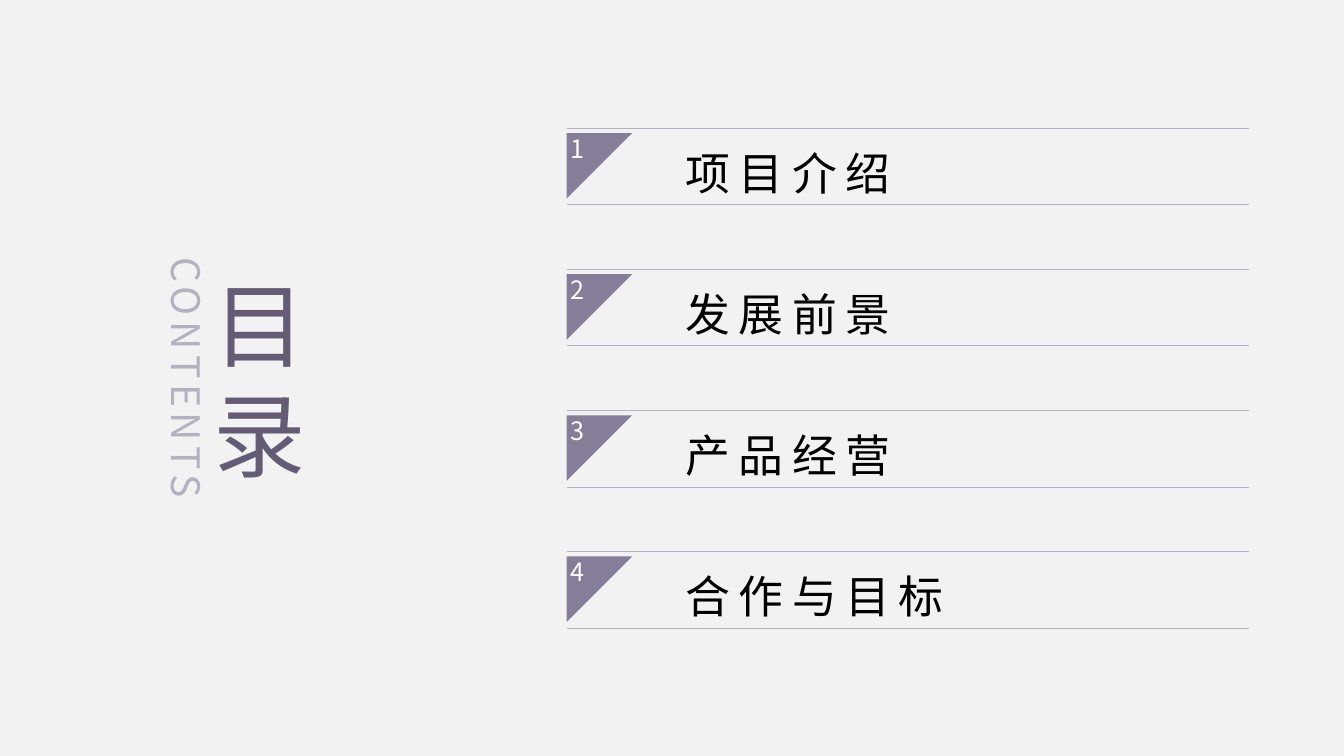
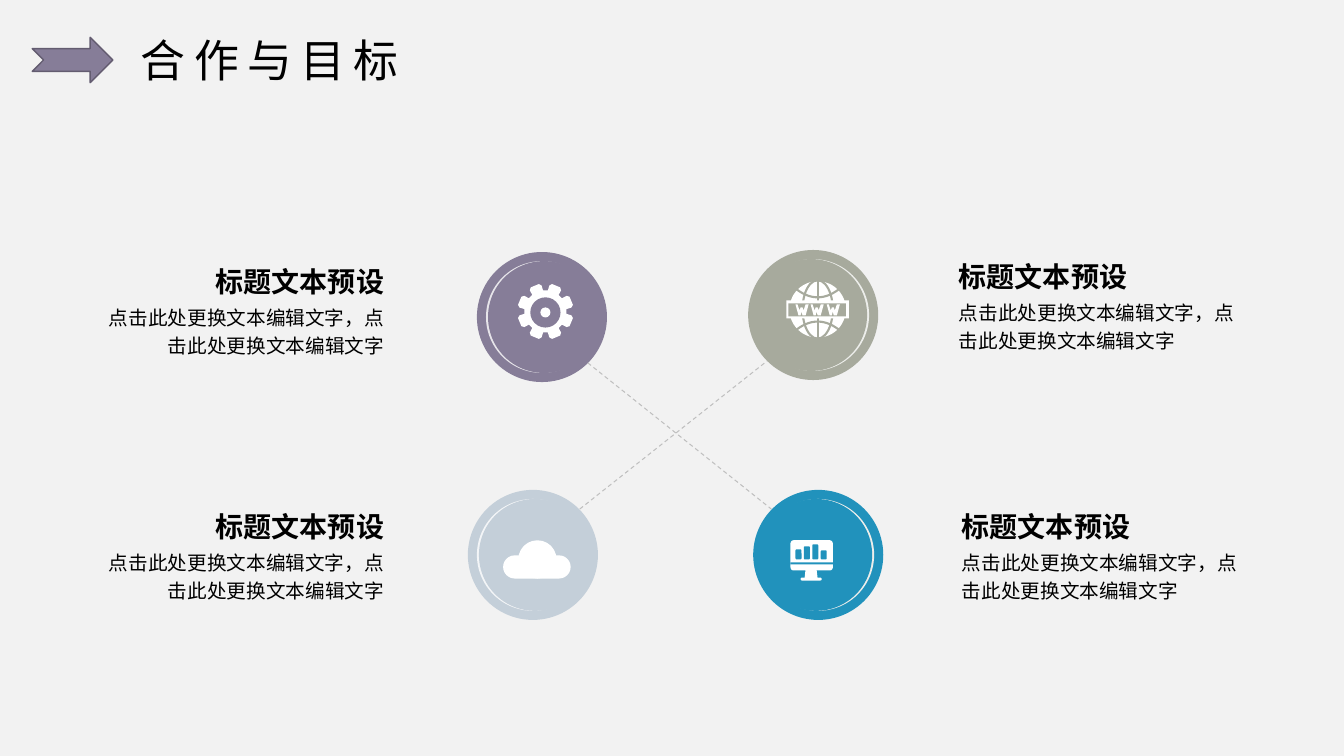
from dataclasses import dataclass
from math import cos, radians, sin

from pptx import Presentation
from pptx.dml.color import RGBColor
from pptx.enum.dml import MSO_LINE
from pptx.enum.shapes import MSO_CONNECTOR, MSO_SHAPE
from pptx.enum.text import MSO_ANCHOR, PP_ALIGN
from pptx.oxml.ns import qn
from pptx.util import Inches, Pt
from lxml.etree import SubElement


@dataclass(frozen=True)
class Theme:
    font: str = "Noto Sans CJK SC"
    background: str = "F2F2F2"
    ink: str = "000000"
    white: str = "FFFFFF"
    purple: str = "867D98"
    purple_dark: str = "645C74"
    arrow_edge: str = "635C70"
    lilac: str = "B6B1C1"
    olive: str = "A7AA9D"
    blue: str = "2192BC"
    mist: str = "C4CFD9"
    purple_ring: str = "E7E5EA"
    olive_ring: str = "EDEEEB"
    mist_ring: str = "F3F5F7"
    dash: str = "BFBFBF"
    display: int = 66
    heading: int = 32
    vertical: int = 28
    subheading: int = 20
    number: int = 18
    body: int = 14


THEME = Theme()
SECTIONS = ["项目介绍", "发展前景", "产品经营", "合作与目标"]
CAPTION_TITLE = "标题文本预设"
CAPTION_BODY = "点击此处更换文本编辑文字，点击此处更换文本编辑文字"


# Basic elements
def write(shape, text, size, color=THEME.ink, bold=False, align=PP_ALIGN.LEFT,
          spacing=0, line_spacing=None, anchor=MSO_ANCHOR.TOP,
          insets=(0.1, 0.05, 0.1, 0.05)):
    """Fill a shape with text, one paragraph for each line."""
    frame = shape.text_frame
    frame.word_wrap = True
    frame.vertical_anchor = anchor
    (frame.margin_left, frame.margin_top,
     frame.margin_right, frame.margin_bottom) = map(Inches, insets)
    for index, line in enumerate(text.split("\n")):
        paragraph = frame.paragraphs[0] if index == 0 else frame.add_paragraph()
        paragraph.alignment = align
        if line_spacing:
            paragraph.line_spacing = line_spacing
        run = paragraph.add_run()
        run.text = line
        run.font.size = Pt(size)
        run.font.bold = bold
        run.font.color.rgb = RGBColor.from_string(color)
        run.font.name = THEME.font
        properties = run.font._element
        SubElement(properties, qn("a:ea")).set("typeface", THEME.font)
        if spacing:
            properties.set("spc", str(spacing * 100))


def add_text(slide, box, text, size, **style):
    label = slide.shapes.add_textbox(*map(Inches, box))
    write(label, text, size, **style)
    return label


def paint(shape, fill=None, line=None, width=1):
    shape.shadow.inherit = False
    if fill:
        shape.fill.solid()
        shape.fill.fore_color.rgb = RGBColor.from_string(fill)
    else:
        shape.fill.background()
    if line:
        shape.line.color.rgb = RGBColor.from_string(line)
        shape.line.width = Pt(width)
    else:
        shape.line.fill.background()


def add_preset(slide, kind, box, fill=None, radius=None, **outline):
    shape = slide.shapes.add_shape(kind, *map(Inches, box))
    if radius is not None:
        shape.adjustments[0] = radius
    paint(shape, fill, **outline)
    return shape


def add_circle(slide, x, y, radius, fill):
    box = (x - radius, y - radius, 2 * radius, 2 * radius)
    return add_preset(slide, MSO_SHAPE.OVAL, box, fill)


def add_outline(slide, *contours, close=True, **colors):
    builder = None
    for points in contours:
        corners = [(Inches(x), Inches(y)) for x, y in points]
        if builder is None:
            builder = slide.shapes.build_freeform(*corners[0])
        else:
            builder.move_to(*corners[0])
        builder.add_line_segments(corners[1:], close=close)
    shape = builder.convert_to_shape()
    paint(shape, **colors)
    return shape


def add_line(slide, start, end, color, width, dash=None):
    line = slide.shapes.add_connector(
        MSO_CONNECTOR.STRAIGHT, *map(Inches, (*start, *end)))
    line.line.color.rgb = RGBColor.from_string(color)
    line.line.width = Pt(width)
    if dash:
        line.line.dash_style = dash
    SubElement(line._element.spPr, qn("a:effectLst"))


# Icons
def draw_gear(slide, color):
    x, y = 5.41, 3.09
    tooth = [(-16, 0.21), (-14, 0.26), (-9, 0.28),
             (9, 0.28), (14, 0.26), (16, 0.21)]
    rim = [(x + r * cos(radians(45 * k + 22.5 + turn)),
            y + r * sin(radians(45 * k + 22.5 + turn)))
           for k in range(8) for turn, r in tooth]
    add_outline(slide, rim, fill=THEME.white)
    add_circle(slide, x, y + 0.01, 0.15, color)
    add_circle(slide, x, y + 0.01, 0.05, THEME.white)


def draw_globe(slide, color):
    x, y = 8.11, 3.07
    add_circle(slide, x, y, 0.28, THEME.white)
    # Meridians and parallels
    add_line(slide, (x, 2.78), (x, 3.36), color, 1.5)
    add_preset(slide, MSO_SHAPE.OVAL, (x - 0.15, 2.78, 0.3, 0.58),
               line=color, width=1.5)
    for side in (-1, 1):
        curve = [(x + step * 0.03, y + side * (0.12 + 0.08 * (step / 7) ** 2))
                 for step in range(-7, 8)]
        add_outline(slide, curve, close=False, line=color, width=1.5)
    # Lettered band
    add_preset(slide, MSO_SHAPE.RECTANGLE, (7.8, 2.98, 0.62, 0.18), THEME.white)
    add_preset(slide, MSO_SHAPE.RECTANGLE, (7.82, 3.01, 0.57, 0.13), color)
    letter = [(0, 0), (0.02, 0), (0.04, 0.06), (0.05, 0.03), (0.07, 0.03),
              (0.08, 0.06), (0.1, 0), (0.13, 0), (0.1, 0.11), (0.07, 0.11),
              (0.06, 0.07), (0.05, 0.11), (0.03, 0.11)]
    letters = [[(left + dx, 3.02 + dy) for dx, dy in letter]
               for left in (7.89, 8.04, 8.2)]
    add_outline(slide, *letters, fill=THEME.white)


def draw_monitor(slide, color):
    rounded = MSO_SHAPE.ROUNDED_RECTANGLE
    add_preset(slide, rounded, (7.84, 5.36, 0.42, 0.3), THEME.white, radius=0.1)
    add_preset(slide, MSO_SHAPE.RECTANGLE, (7.84, 5.58, 0.42, 0.02), color)
    for index, top in enumerate((5.45, 5.42, 5.4, 5.46)):
        left = 7.89 + index * 0.25 / 3
        add_preset(slide, rounded, (left, top, 0.06, 5.55 - top), color, radius=0.2)
    add_outline(slide, [(7.99, 5.65), (8.1, 5.65), (8.11, 5.74), (7.98, 5.74)],
                fill=THEME.white)
    add_preset(slide, rounded, (7.94, 5.73, 0.21, 0.03), THEME.white, radius=0.5)


def draw_cloud(slide, color):
    add_preset(slide, MSO_SHAPE.ROUNDED_RECTANGLE, (4.99, 5.51, 0.67, 0.23),
               THEME.white, radius=0.5)
    add_circle(slide, 5.33, 5.55, 0.19, THEME.white)


# Composite elements
def add_section_row(slide, number, title, top):
    left, right, height = 5.62, 12.39, 0.76
    rules = [[(left, y), (right, y)] for y in (top + height, top)]
    row = add_outline(slide, *rules, close=False, line=THEME.lilac, width=0.25)
    write(row, title, THEME.heading, spacing=6, line_spacing=1.3,
          anchor=MSO_ANCHOR.MIDDLE, insets=(1.18, 0, 0, 0.04))
    side, y = 0.65, top + 0.05
    flag = add_outline(slide, [(left, y), (left + side, y), (left, y + side)],
                       fill=THEME.purple)
    write(flag, str(number), THEME.number, color=THEME.white,
          insets=(0.04, 0, 0, 0.47))


def add_badge(slide, left, top, color, ring, shift, draw_icon):
    """Disc with a thin crescent, made by a cover shifted over the ring."""
    outer, inner = 1.29 / 2, 1.11 / 2
    x, y = left + outer, top + outer
    add_circle(slide, x, y, outer, color)
    add_circle(slide, x, y, inner, ring)
    add_circle(slide, x + shift, y, inner, color)
    draw_icon(slide, color)


def add_caption(slide, left, top, align):
    insets = (0.08, 0, 0.08, 0)
    add_text(slide, (left, top, 2.98, 0.3), CAPTION_TITLE, THEME.subheading,
             bold=True, align=align, insets=insets)
    add_text(slide, (left, top + 0.37, 2.98, 0.58), CAPTION_BODY, THEME.body,
             align=align, line_spacing=1.2, insets=insets)


# Slides
def build_contents(slide):
    for index, title in enumerate(SECTIONS):
        add_section_row(slide, index + 1, title, 1.27 + index * 1.4)
    add_text(slide, (1.79, 2.25, 1.57, 3.01), "目\n录", THEME.display,
             color=THEME.purple_dark, align=PP_ALIGN.CENTER,
             anchor=MSO_ANCHOR.MIDDLE, insets=(0, 0, 0, 0))
    vertical = add_text(slide, (-0.17, 3.46, 4.04, 0.57), "CONTENTS",
                        THEME.vertical, color=THEME.lilac,
                        align=PP_ALIGN.CENTER, spacing=4)
    vertical.rotation = 90


def build_goals(slide):
    # Title
    add_preset(slide, MSO_SHAPE.NOTCHED_RIGHT_ARROW, (0.32, 0.37, 0.8, 0.45),
               THEME.purple, line=THEME.arrow_edge)
    add_text(slide, (1.3, 0.28, 3.97, 0.64), SECTIONS[-1], THEME.heading,
             spacing=6)

    # Badges and the dashed cross between them
    badges = [
        (4.73, 2.5, THEME.purple, THEME.purple_ring, 0.02, draw_gear),
        (7.42, 2.48, THEME.olive, THEME.olive_ring, -0.02, draw_globe),
        (7.47, 4.86, THEME.blue, THEME.olive_ring, -0.02, draw_monitor),
        (4.64, 4.86, THEME.mist, THEME.mist_ring, 0.02, draw_cloud),
    ]
    for badge in badges:
        add_badge(slide, *badge)
    for start, end in (((5.83, 3.6), (7.65, 5.05)), ((5.75, 5.05), (7.61, 3.58))):
        add_line(slide, start, end, THEME.dash, 0.75, dash=MSO_LINE.DASH)

    # Captions
    for left, top, align in ((0.91, 2.62, PP_ALIGN.RIGHT),
                             (0.91, 5.05, PP_ALIGN.RIGHT),
                             (9.46, 5.05, PP_ALIGN.LEFT),
                             (9.43, 2.57, PP_ALIGN.LEFT)):
        add_caption(slide, left, top, align)


def main():
    deck = Presentation()
    deck.slide_width, deck.slide_height = Inches(13.33), Inches(7.5)
    backdrop = deck.slide_master.background.fill
    backdrop.solid()
    backdrop.fore_color.rgb = RGBColor.from_string(THEME.background)
    for build in (build_contents, build_goals):
        build(deck.slides.add_slide(deck.slide_layouts[6]))
    deck.save("out.pptx")


if __name__ == "__main__":
    main()
